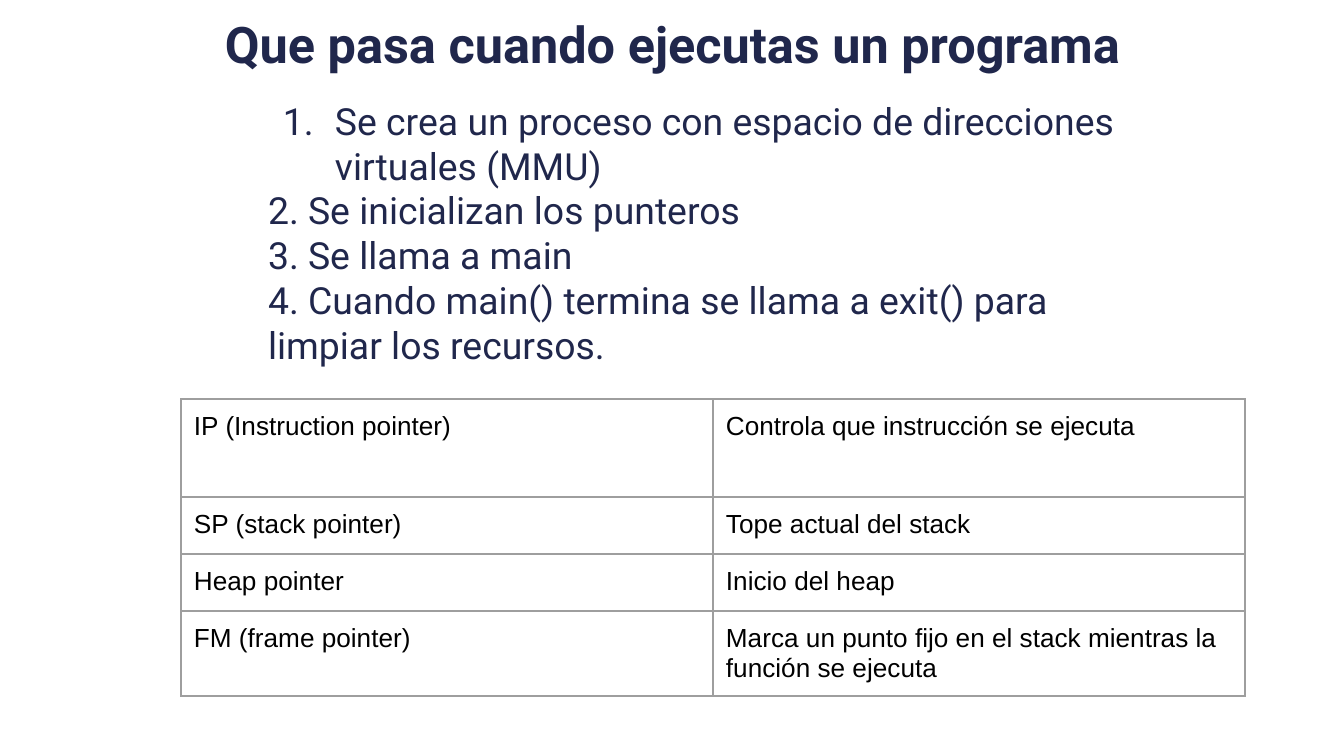
from lxml import etree
from pptx import Presentation
from pptx.dml.color import RGBColor
from pptx.enum.text import MSO_ANCHOR, MSO_AUTO_SIZE, PP_ALIGN
from pptx.oxml.ns import qn
from pptx.util import Pt

LEFT, CENTER = PP_ALIGN.LEFT, PP_ALIGN.CENTER
TOP = MSO_ANCHOR.TOP
NO_FIT = MSO_AUTO_SIZE.NONE

# Content
COLORS = {"navy": "20274C", "black": "000000", "border": "9E9E9E", "white": "FFFFFF"}
TITLE = "Que pasa cuando ejecutas un programa"
NUMBERED_STEP = "Se crea un proceso con espacio de direcciones virtuales (MMU)"
TYPED_STEPS = [
    "2. Se inicializan los punteros",
    "3. Se llama a main",
    "4. Cuando main() termina se llama a exit() para limpiar los recursos.",
]
POINTERS = [
    ("IP (Instruction pointer)", "Controla que instrucción se ejecuta"),
    ("SP (stack pointer)", "Tope actual del stack"),
    ("Heap pointer", "Inicio del heap"),
    ("FM (frame pointer)", "Marca un punto fijo en el stack mientras la función se ejecuta"),
]

# Geometry in px
SLIDE_W, SLIDE_H = 1344, 756
TITLE_BOX = (46, 0, 1253, 85)
STEPS_BOX = (255, 85, 880, 265)
TABLE_X, TABLE_Y = 181, 399
COL_W = 532
ROW_H = [98, 57, 57, 85]
INSET = 13
STEP_MARGIN, STEP_HANG = 67, 52
EMU_PER_PX = 9144000 / SLIDE_W


def px(n):
    return round(n * EMU_PER_PX)


def write(p, text, size, color, font="Roboto", bold=False, align=LEFT):
    p.alignment = align
    p.space_before = p.space_after = Pt(0)
    r = p.add_run()
    r.text = text
    r.font.name, r.font.size, r.font.bold = font, Pt(size), bold
    r.font.color.rgb = RGBColor.from_string(COLORS[color])


def place(sp, box):
    sp.left, sp.top, sp.width, sp.height = map(px, box)
    tf = sp.text_frame
    tf.word_wrap, tf.auto_size, tf.vertical_anchor = True, NO_FIT, TOP
    tf.margin_left = tf.margin_right = tf.margin_top = tf.margin_bottom = px(INSET)
    return tf


def set_bullet(p, numbered):
    pPr = p._p.get_or_add_pPr()
    pPr.set("marL", str(px(STEP_MARGIN) if numbered else 0))
    pPr.set("indent", str(-px(STEP_HANG) if numbered else 0))
    if numbered:
        clr = etree.SubElement(pPr, qn("a:buClr"))
        etree.SubElement(clr, qn("a:srgbClr"), val=COLORS["navy"])
        etree.SubElement(pPr, qn("a:buFont"), typeface="Roboto")
        etree.SubElement(pPr, qn("a:buAutoNum"), type="arabicPeriod")
    else:
        etree.SubElement(pPr, qn("a:buNone"))


def set_borders(cell):
    tcPr = cell._tc.get_or_add_tcPr()
    for i, side in enumerate(("lnL", "lnR", "lnT", "lnB")):
        ln = etree.Element(qn("a:" + side), w=str(Pt(0.75)))
        fill = etree.SubElement(ln, qn("a:solidFill"))
        etree.SubElement(fill, qn("a:srgbClr"), val=COLORS["border"])
        tcPr.insert(i, ln)


prs = Presentation()
prs.slide_width, prs.slide_height = px(SLIDE_W), px(SLIDE_H)
s = prs.slides.add_slide(prs.slide_layouts[1])

# Title
tf = place(s.shapes.title, TITLE_BOX)
write(tf.paragraphs[0], TITLE, 27, "navy", bold=True, align=CENTER)

# Steps
tf = place(s.placeholders[1], STEPS_BOX)
for i, step in enumerate([NUMBERED_STEP] + TYPED_STEPS):
    p = tf.add_paragraph() if i else tf.paragraphs[0]
    set_bullet(p, numbered=i == 0)
    write(p, step, 20, "navy")

# Pointer table
frame = s.shapes.add_table(len(POINTERS), 2, px(TABLE_X), px(TABLE_Y),
                           px(2 * COL_W), px(sum(ROW_H)))
table = frame.table
table.first_row = table.horz_banding = False
for col in table.columns:
    col.width = px(COL_W)
for row, height, texts in zip(table.rows, ROW_H, POINTERS):
    row.height = px(height)
    for cell, text in zip(row.cells, texts):
        cell.margin_left = cell.margin_right = px(INSET)
        cell.margin_top = cell.margin_bottom = px(INSET)
        cell.vertical_anchor = TOP
        cell.fill.solid()
        cell.fill.fore_color.rgb = RGBColor.from_string(COLORS["white"])
        set_borders(cell)
        write(cell.text_frame.paragraphs[0], text, 14, "black", font="Arial")

prs.save("out.pptx")
